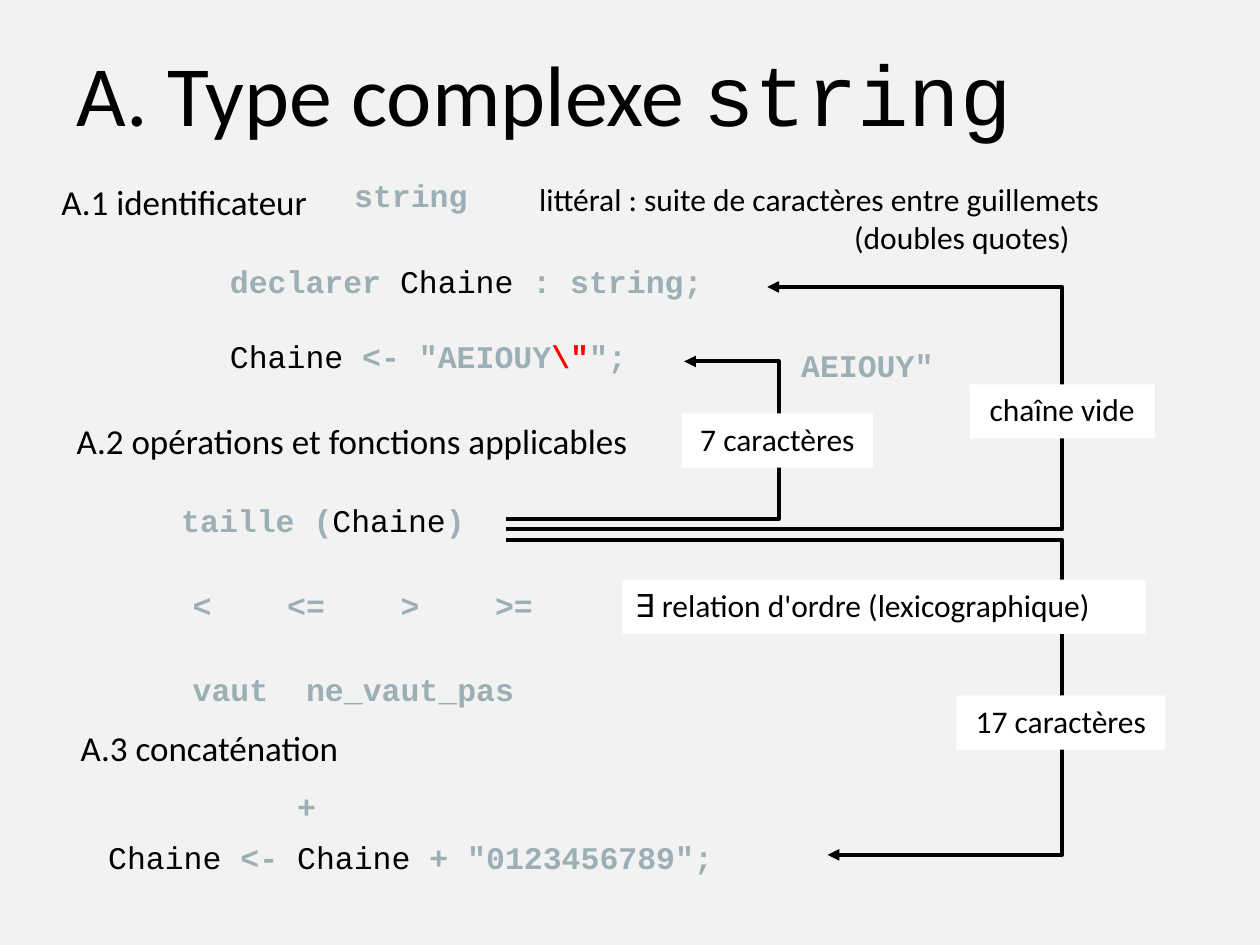
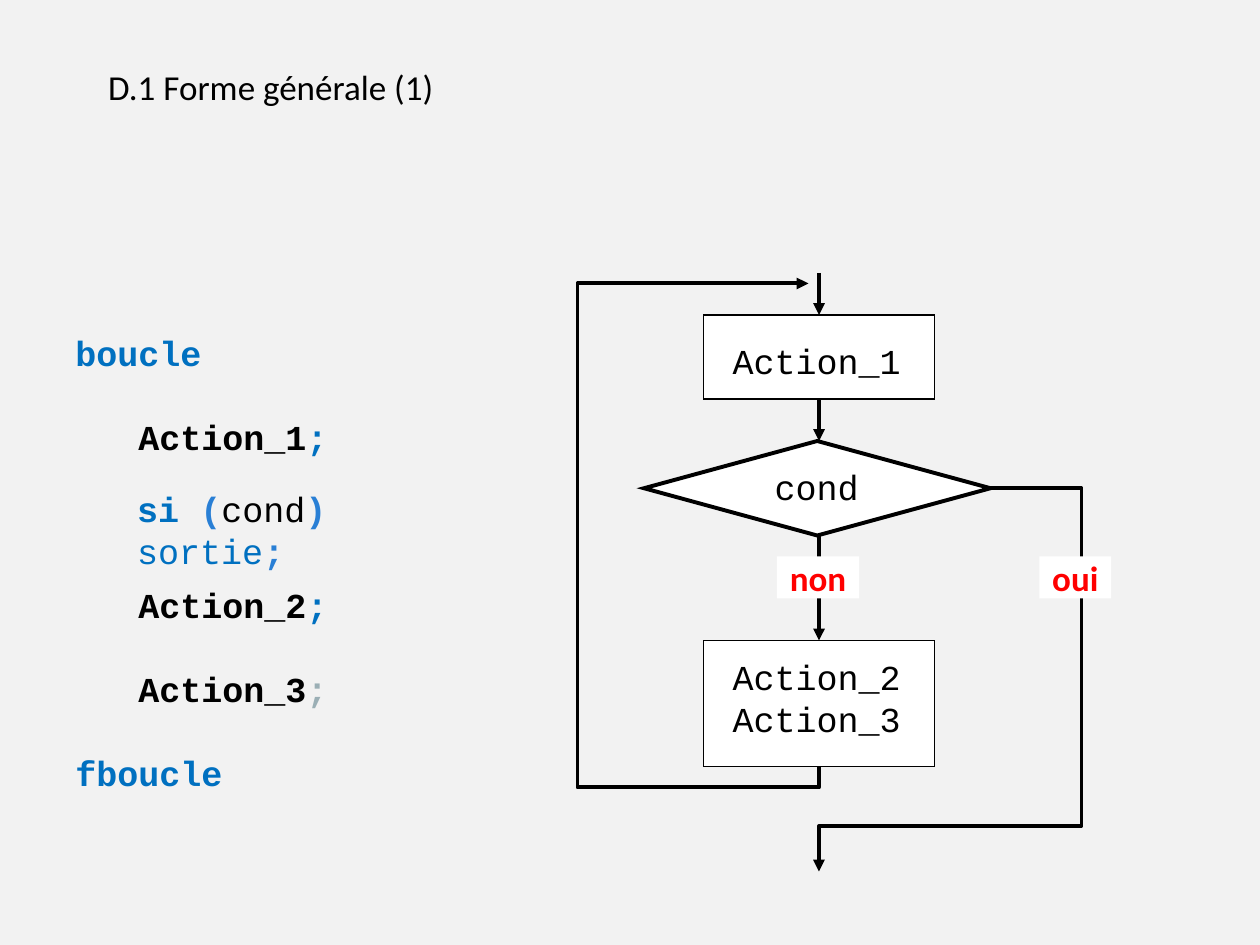
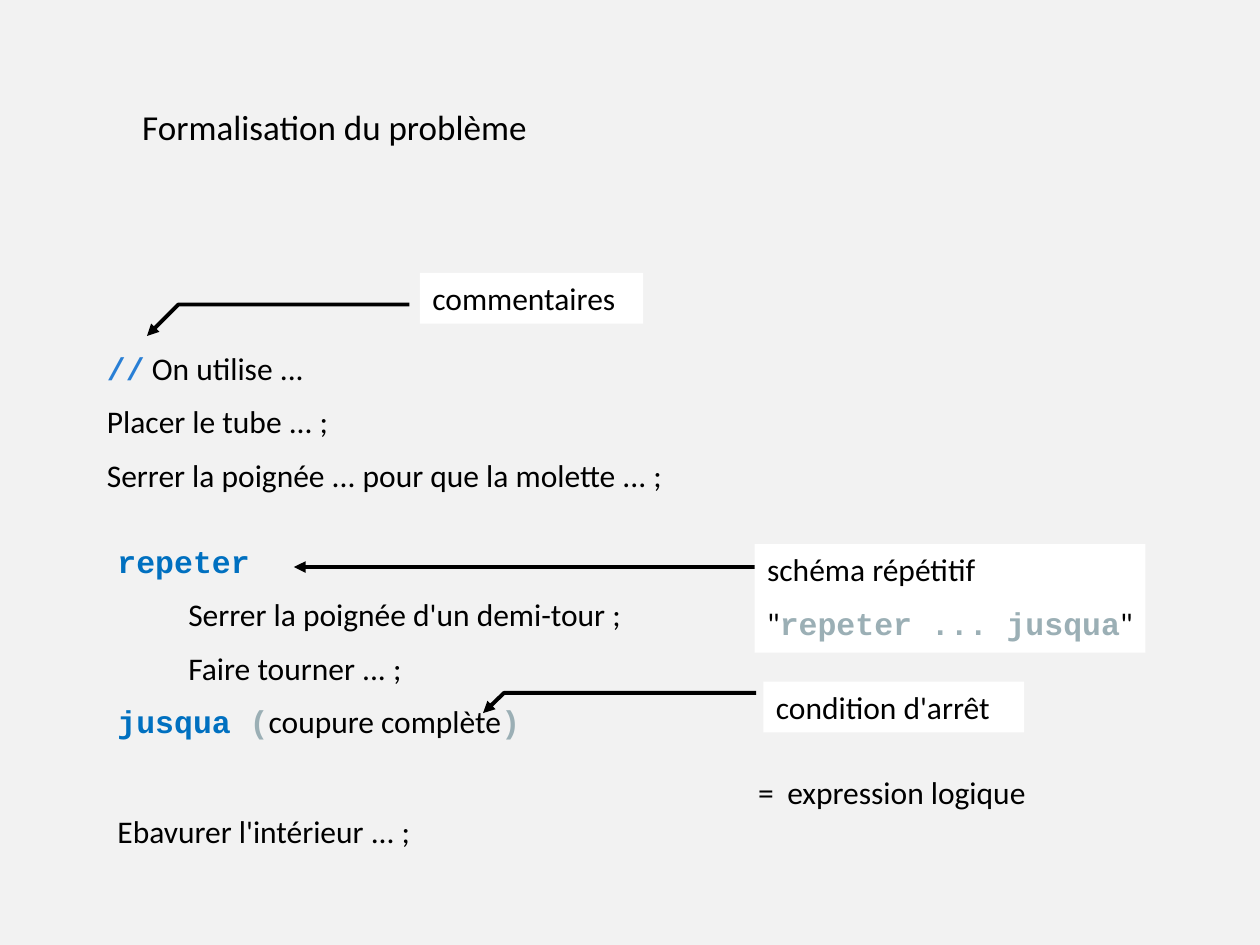
"""Build three algorithm course slides: strings, loops and formalisation."""
from dataclasses import dataclass

from lxml.etree import SubElement
from pptx import Presentation
from pptx.dml.color import RGBColor
from pptx.enum.shapes import MSO_CONNECTOR, MSO_SHAPE
from pptx.enum.text import MSO_ANCHOR, PP_ALIGN
from pptx.oxml.ns import qn
from pptx.util import Pt


@dataclass(frozen=True)
class Theme:
    background: str = "F2F2F2"
    black: str = "000000"
    white: str = "FFFFFF"
    gray: str = "9BAFB5"
    blue: str = "0070C0"
    bright: str = "297FD5"
    red: str = "FF0000"
    sans: str = "Calibri"
    mono: str = "Courier New"
    title: int = 49
    heading: int = 20
    body: int = 18
    thick: float = 2.25
    thin: float = 0.75
    half_line: int = 9


THEME = Theme()

STYLES = {
    "text": (THEME.sans, THEME.black, False),
    "answer": (THEME.sans, THEME.red, True),
    "code": (THEME.mono, THEME.black, False),
    "action": (THEME.mono, THEME.black, True),
    "gray": (THEME.mono, THEME.gray, True),
    "escape": (THEME.mono, THEME.red, True),
    "blue": (THEME.mono, THEME.blue, True),
    "exit": (THEME.mono, THEME.blue, False),
    "bright": (THEME.mono, THEME.bright, True),
}


@dataclass
class Line:
    runs: list
    before: float = 0
    indent: float = 0
    spacing: float = 1
    tabs: tuple = ()


@dataclass
class Box:
    place: tuple
    lines: list
    size: int = THEME.body
    fill: bool = False
    centered: bool = False
    middle: bool = False
    inset: float = 3.6


def one(place, text, style="text", size=THEME.body, **options):
    return Box(place, [Line([(text, style)])], size, **options)


def heading(place, text):
    return one(place, text, size=THEME.heading)


def label(place, text, **options):
    return one(place, text, fill=True, **options)


def answer(place, text):
    return label(place, text, style="answer", size=THEME.heading, inset=0, centered=True)


def spaced(*all_runs):
    return [Line(runs, THEME.half_line if number else 0) for number, runs in enumerate(all_runs)]


STRING_SLIDE = {
    "arrows": [
        [(289, 302.5), (607, 302.5), (607, 164), (438.5, 164)],
        [(289, 296.5), (445, 296.5), (445, 206.5), (391, 206.5)],
        [(289, 308.5), (607, 308.5), (607, 488.5), (473, 488.5)],
    ],
    "frames": [],
    "boxes": [
        Box((36.7, 16.8, 647.3, 72), [Line([("A. Type complexe ", "text"), ("string", "code")])],
            THEME.title, middle=True),
        heading((28, 99.4, 155, 32), "A.1 identificateur"),
        one((195.3, 97.2, 86, 31), "string", "gray"),
        Box((301, 99.4, 361, 51), [
            Line([("littéral : suite de caractères entre guillemets", "text")]),
            Line([("(doubles quotes)", "text")], indent=180),
        ]),
        Box((124.3, 146.2, 315, 79), [
            Line([("declarer ", "gray"), ("Chaine", "code"), (" : string;", "gray")]),
            Line([("Chaine", "code"), (' <- "AEIOUY', "gray"), ('\\"', "escape"), ('";', "gray")],
                 before=21.5),
        ]),
        heading((36.7, 236.2, 330, 32), "A.2 opérations et fonctions applicables"),
        Box((103, 331.2, 230, 31), [Line([("<\t<=\t>\t>=", "gray")], tabs=(54, 118.8, 172.8))]),
        Box((103, 379.4, 218, 31), [Line([("vaut\tne_vaut_pas", "gray")], tabs=(64.8,))]),
        heading((39, 411.8, 166, 32), "A.3 concaténation"),
        one((162.7, 446.4, 27, 31), "+", "gray"),
        Box((96.5, 283, 194, 31),
            [Line([("taille (", "gray"), ("Chaine", "code"), (")", "gray")])]),
        Box((54.7, 475.2, 398, 31), [Line([("Chaine", "code"), (" <- ", "gray"),
                                         ("Chaine", "code"), (' + "0123456789";', "gray")])]),
        one((450.7, 194.4, 99, 31), 'AEIOUY"', "gray"),
        label((554, 219.6, 106, 31), "chaîne vide", centered=True),
        label((389.5, 236.2, 109.5, 31), "7 caractères", centered=True),
        label((546.5, 397.4, 119.5, 31), "17 caractères", centered=True),
        label((355.7, 331.2, 299, 31), "∃ relation d'ordre (lexicographique)"),
    ],
}

ACTION_LINES = [
    Line([("boucle", "blue")], spacing=2),
    *[Line([(f"Action_{number}", "action"), (";", style)], before, 36, 2)
      for number, style, before in [(1, "blue", 0), (2, "blue", 48), (3, "gray", 0)]],
    Line([("fboucle", "blue")], spacing=2),
]

LOOP_SLIDE = {
    "arrows": [
        [(468, 156), (468, 180)],
        [(468, 228), (468, 252)],
        [(468, 306), (468, 366)],
        [(564, 279), (618, 279), (618, 472), (468, 472), (468, 498)],
        [(468, 397), (468, 450), (330, 450), (330, 162), (462, 162)],
    ],
    "frames": [
        (MSO_SHAPE.RECTANGLE, (402, 180, 132, 48), THEME.thin),
        (MSO_SHAPE.DIAMOND, (368, 252, 198, 54), THEME.thick),
        (MSO_SHAPE.RECTANGLE, (402, 366, 132, 72), THEME.thin),
    ],
    "boxes": [
        Box((36, 162, 160, 292), ACTION_LINES, THEME.heading),
        Box((71.3, 275, 205, 55), [Line([
            ("si ", "blue"), ("(", "bright"), ("cond", "code"), (") ", "bright"),
            ("sortie", "exit"), (";", "bright")])], THEME.heading),
        one((411.5, 190.5, 120, 31), "Action_1", "code", THEME.heading),
        one((435.6, 262.5, 63, 31), "cond", "code", THEME.heading),
        Box((411.5, 370.8, 120, 55), [Line([("Action_2", "code")]), Line([("Action_3", "code")])],
            THEME.heading),
        answer((594, 318, 41, 24), "oui"),
        answer((444, 318, 47, 24), "non"),
        heading((54.7, 33.8, 480, 32), "D.1 Forme générale (1)"),
    ],
}

REPEAT_LINES = spaced(
    [("repeter", "blue")],
    [("Serrer la poignée d'un demi-tour ;", "text")],
    [("Faire tourner ... ;", "text")],
    [("jusqua", "blue"), (" (", "gray"), ("coupure complète", "text"), (")", "gray")],
)
for step in REPEAT_LINES[1:3]:
    step.indent = 40.5

FORMAL_SLIDE = {
    "arrows": [
        [(432, 324), (168, 324)],
        [(234, 174), (102, 174), (84, 192)],
        [(432, 396), (288, 396), (276, 407.5)],
    ],
    "frames": [],
    "boxes": [
        Box((54, 195.8, 384, 94), spaced(
            [("//", "bright"), (" On utilise ...", "text")],
            [("Placer le tube ... ;", "text")],
            [("Serrer la poignée ... pour que la molette ... ;", "text")])),
        Box((60, 306, 372, 127), REPEAT_LINES),
        one((60, 460.5, 204, 29), "Ebavurer l'intérieur ... ;"),
        Box((426.2, 438, 184, 29), [Line([("=\texpression logique", "text")], tabs=(16.6,))]),
        Box((431.3, 311, 223.2, 62), spaced(
            [("schéma répétitif", "text")],
            [('"', "text"), ("repeter ... jusqua", "gray"), ('"', "text")]), fill=True),
        label((240, 156, 127.5, 29), "commentaires"),
        label((436.3, 389.5, 149, 29), "condition d'arrêt"),
        heading((74.2, 56.9, 269, 32), "Formalisation du problème"),
    ],
}


def color(value):
    return RGBColor.from_string(value)


def points(values):
    return [Pt(value) for value in values]


def draw_arrow(slide, route):
    if len(route) == 2:
        shape = slide.shapes.add_connector(MSO_CONNECTOR.STRAIGHT, *points(route[0] + route[1]))
        SubElement(shape.line._get_or_add_ln().getparent(), qn("a:effectLst"))
    else:
        builder = slide.shapes.build_freeform(*points(route[0]))
        builder.add_line_segments([points(corner) for corner in route[1:]], close=False)
        shape = builder.convert_to_shape()
        shape.fill.background()
        shape.shadow.inherit = False
    shape.line.color.rgb = color(THEME.black)
    shape.line.width = Pt(THEME.thick)
    SubElement(shape.line._get_or_add_ln(), qn("a:tailEnd"), type="triangle")


def draw_frame(slide, kind, place, width):
    shape = slide.shapes.add_shape(kind, *points(place))
    shape.shadow.inherit = False
    shape.fill.solid()
    shape.fill.fore_color.rgb = color(THEME.white)
    if width:
        shape.line.color.rgb = color(THEME.black)
        shape.line.width = Pt(width)
        SubElement(shape.line._get_or_add_ln(), qn("a:miter"), lim="800000")
    else:
        shape.line.fill.background()
    return shape


def write_line(paragraph, line, box):
    properties = paragraph._p.get_or_add_pPr()
    if line.indent:
        properties.set("marL", str(Pt(line.indent)))
        properties.set("indent", "0")
    if line.tabs:
        tab_list = SubElement(properties, qn("a:tabLst"))
        for position in line.tabs:
            SubElement(tab_list, qn("a:tab"), pos=str(Pt(position)), algn="l")
    paragraph.alignment = PP_ALIGN.CENTER if box.centered else PP_ALIGN.LEFT
    paragraph.line_spacing = float(line.spacing)
    if line.before:
        paragraph.space_before = Pt(line.before)
    for text, style in line.runs:
        run = paragraph.add_run()
        run.text = text
        name, value, bold = STYLES[style]
        run.font.name = name
        run.font.size = Pt(box.size)
        run.font.bold = bold
        run.font.color.rgb = color(value)


def draw_box(slide, box):
    if box.fill:
        shape = draw_frame(slide, MSO_SHAPE.RECTANGLE, box.place, 0)
    else:
        shape = slide.shapes.add_textbox(*points(box.place))
    frame = shape.text_frame
    frame.word_wrap = not box.centered
    frame.vertical_anchor = MSO_ANCHOR.MIDDLE if box.middle else MSO_ANCHOR.TOP
    frame.margin_top = frame.margin_bottom = Pt(box.inset)
    frame.margin_left = Pt(7.2)
    frame.margin_right = Pt(7.2 if box.centered else 0)
    for number, line in enumerate(box.lines):
        paragraph = frame.add_paragraph() if number else frame.paragraphs[0]
        write_line(paragraph, line, box)


def main():
    presentation = Presentation()
    presentation.slide_width, presentation.slide_height = Pt(720), Pt(540)
    for content in (STRING_SLIDE, LOOP_SLIDE, FORMAL_SLIDE):
        slide = presentation.slides.add_slide(presentation.slide_layouts[6])
        slide.background.fill.solid()
        slide.background.fill.fore_color.rgb = color(THEME.background)
        for route in content["arrows"]:
            draw_arrow(slide, route)
        for frame in content["frames"]:
            draw_frame(slide, *frame)
        for box in content["boxes"]:
            draw_box(slide, box)
    presentation.save("out.pptx")


if __name__ == "__main__":
    main()
